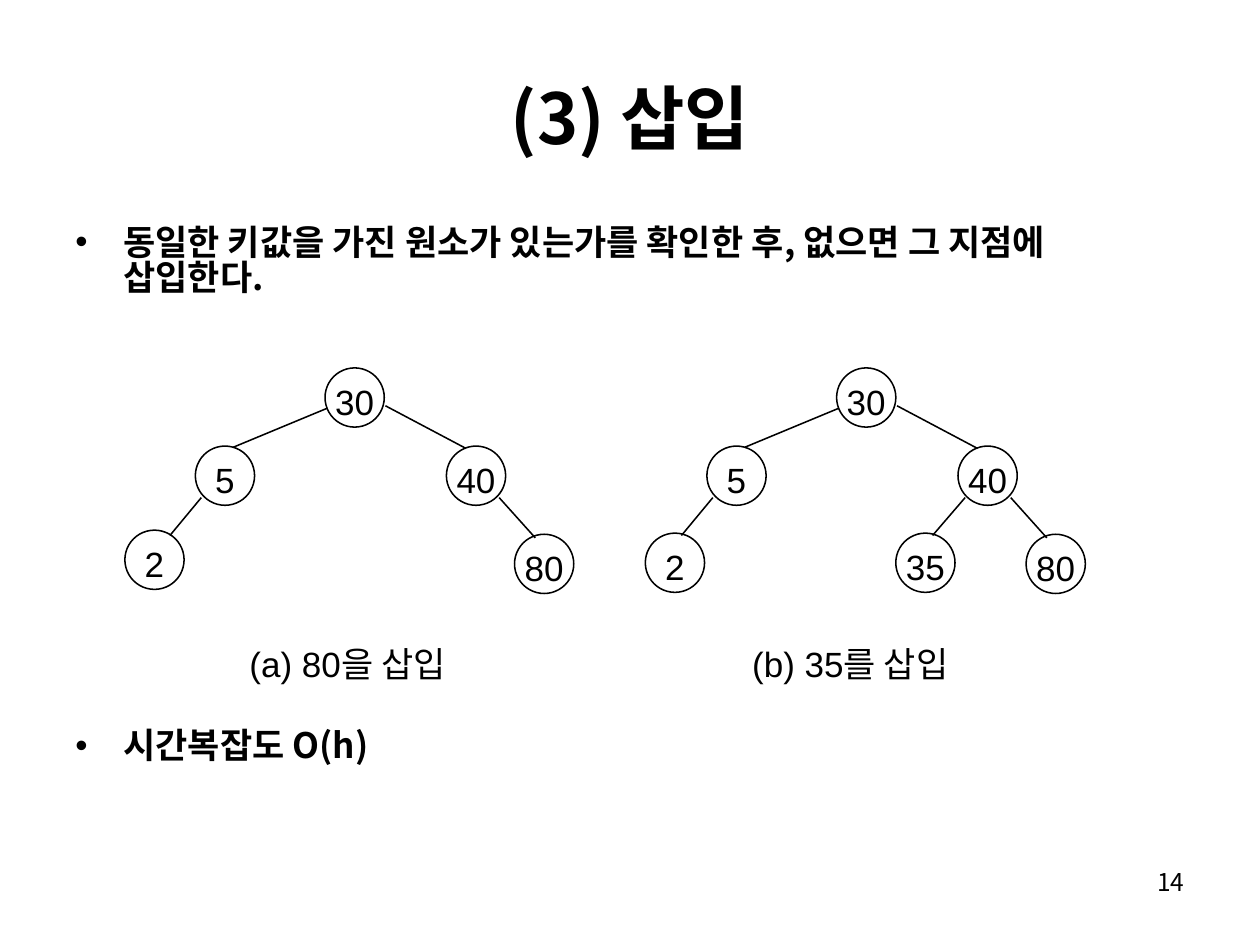
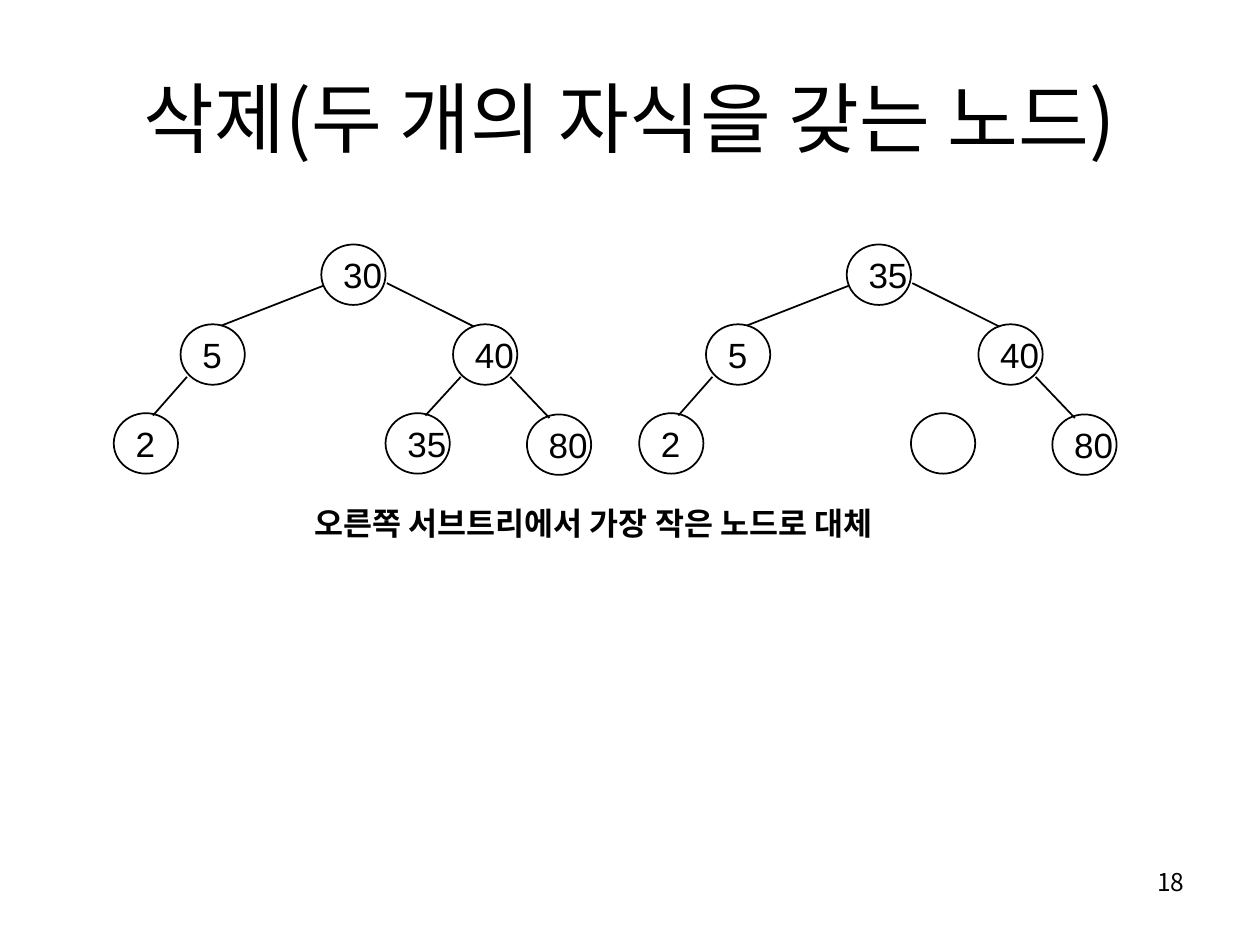
from lxml import etree
from pptx import Presentation
from pptx.dml.color import RGBColor
from pptx.enum import shapes, text
from pptx.oxml import ns
from pptx.util import Inches, Pt

BLACK = RGBColor(0, 0, 0)
HANGUL, LATIN = "Noto Sans CJK KR", "Arial"
LEFT, CENTER, RIGHT = text.PP_ALIGN.LEFT, text.PP_ALIGN.CENTER, text.PP_ALIGN.RIGHT

prs = Presentation()
prs.slide_width, prs.slide_height = Inches(10), Inches(7.5)
COL, ROW = prs.slide_width / 100, prs.slide_height / 75

# Tree layout in node widths and heights, measured from the root's corner
NODES = {"root": (0, 0), "L": (-2.19, 1.32), "R": (2.05, 1.32),
         "LL": (-3.23, 2.79), "RL": (1, 2.79), "RR": (3.2, 2.81)}
EDGES = {"L": (0.04, 0.68, -1.55, 1.34), "R": (1.02, 0.64, 2.38, 1.36),
         "LL": (-2.09, 2.19, -2.62, 2.83), "RL": (2.17, 2.19, 1.62, 2.83),
         "RR": (2.94, 2.19, 3.55, 2.87)}


def add_run(p, string, font, size, bold=False):
    r = p.add_run()
    r.text = string
    r.font.size, r.font.bold = Pt(size), bold
    r.font.color.rgb = BLACK
    r.font.name = font
    etree.SubElement(r.font._element, ns.qn("a:ea"), typeface=font)


def add_box(s, left, top, width, height, inset=(1, 0.5)):
    """Add a wrapping text box placed on the grid and return its text frame."""
    tf = s.shapes.add_textbox(*(round(v) for v in (
        left * COL, top * ROW, width * COL, height * ROW))).text_frame
    tf.word_wrap = True
    tf.margin_left = tf.margin_right = round(inset[0] * COL)
    tf.margin_top = tf.margin_bottom = round(inset[1] * ROW)
    return tf


INSERT_TREE = {"root": "30", "L": "5", "R": "40", "LL": "2", "RR": "80"}
FULL_TREE = {**INSERT_TREE, "RL": "35"}
REPLACED_TREE = {**FULL_TREE, "root": "35", "RL": ""}

pages = [
    {"number": "14", "title": "(3) 삽입", "size": 40, "bold": True,
     "node": (4.7, 4.7), "line": 0.88, "align": CENTER, "inset": (0, 0.6, 0),
     "trees": [(25.8, 29.2, INSERT_TREE, {"LL": (-3.38, 2.74)}),
               (66.4, 29.2, FULL_TREE, {})]},
    {"number": "18", "title": "삭제(두 개의 자식을 갖는 노드)", "size": 44, "bold": False,
     "node": (5.1, 4.8), "line": 1, "align": LEFT, "inset": (1, 0.5, 0.5),
     "trees": [(25.5, 19.4, FULL_TREE, {}), (67.2, 19.4, REPLACED_TREE, {})]},
]

for page in pages:
    s = prs.slides.add_slide(prs.slide_layouts[6])

    p = add_box(s, 71.7, 68.3, 23.3, 5.2).paragraphs[0]
    p.alignment = RIGHT
    add_run(p, page["number"], HANGUL, 14)

    tf = add_box(s, 5, 3, 90, 12.5)
    tf.vertical_anchor = text.MSO_ANCHOR.MIDDLE
    tf.paragraphs[0].alignment = CENTER
    add_run(tf.paragraphs[0], page["title"], HANGUL, page["size"], page["bold"])

    node_w, node_h = page["node"][0] * COL, page["node"][1] * ROW
    side, top, bottom = page["inset"]
    for root_col, root_row, labels, moved in page["trees"]:
        x0, y0 = root_col * COL, root_row * ROW
        for place, label in labels.items():
            dx, dy = moved.get(place, NODES[place])
            node = s.shapes.add_shape(
                shapes.MSO_SHAPE.OVAL, round(x0 + dx * node_w),
                round(y0 + dy * node_h), round(node_w), round(node_h))
            node.shadow.inherit = False
            node.fill.background()
            node.line.color.rgb, node.line.width = BLACK, Pt(page["line"])
            if label:
                tf = node.text_frame
                tf.word_wrap = False
                tf.vertical_anchor = text.MSO_ANCHOR.MIDDLE
                tf.margin_left = tf.margin_right = round(side * COL)
                tf.margin_top, tf.margin_bottom = round(top * ROW), round(bottom * ROW)
                tf.paragraphs[0].alignment = page["align"]
                add_run(tf.paragraphs[0], label, LATIN, 20)
        for place, (x1, y1, x2, y2) in EDGES.items():
            if labels.get(place):
                edge = s.shapes.add_connector(
                    shapes.MSO_CONNECTOR.STRAIGHT,
                    round(x0 + x1 * node_w), round(y0 + y1 * node_h),
                    round(x0 + x2 * node_w), round(y0 + y2 * node_h))
                edge.line.color.rgb, edge.line.width = BLACK, Pt(page["line"])
                etree.SubElement(edge._element.spPr, ns.qn("a:effectLst"))

insert_slide, delete_slide = prs.slides

# Insertion: bullets above and below the trees, one caption for each tree
tf = add_box(insert_slide, 5, 17.5, 89.1, 49.5)
bullets = [("동일한 키값을 가진 원소가 있는가를 확인한 후, 없으면 그 지점에 삽입한다.", 5),
           ("시간복잡도 O(h)", 247)]
for i, (string, gap) in enumerate(bullets):
    p = tf.add_paragraph() if i else tf.paragraphs[0]
    p.space_before, p.line_spacing = Pt(gap), 0.85
    pPr = p._p.get_or_add_pPr()
    pPr.set("marL", str(Inches(0.38)))
    pPr.set("indent", str(Inches(-0.38)))
    etree.SubElement(pPr, ns.qn("a:buFont"), typeface=LATIN)
    etree.SubElement(pPr, ns.qn("a:buChar"), char="•")
    add_run(p, string, HANGUL, 20, True)

for left, step, rest in [(19.8, "(a) 80", "을 삽입"), (59.7, "(b) 35", "를 삽입")]:
    p = add_box(insert_slide, left, 51, 18, 4, inset=(0, 0)).paragraphs[0]
    add_run(p, step, LATIN, 20)
    add_run(p, rest, HANGUL, 20)

# Deletion: one caption under both trees
p = add_box(delete_slide, 24, 39.5, 51.2, 4).paragraphs[0]
add_run(p, "오른쪽 서브트리에서 가장 작은 노드로 대체", HANGUL, 18, True)

prs.save("out.pptx")
